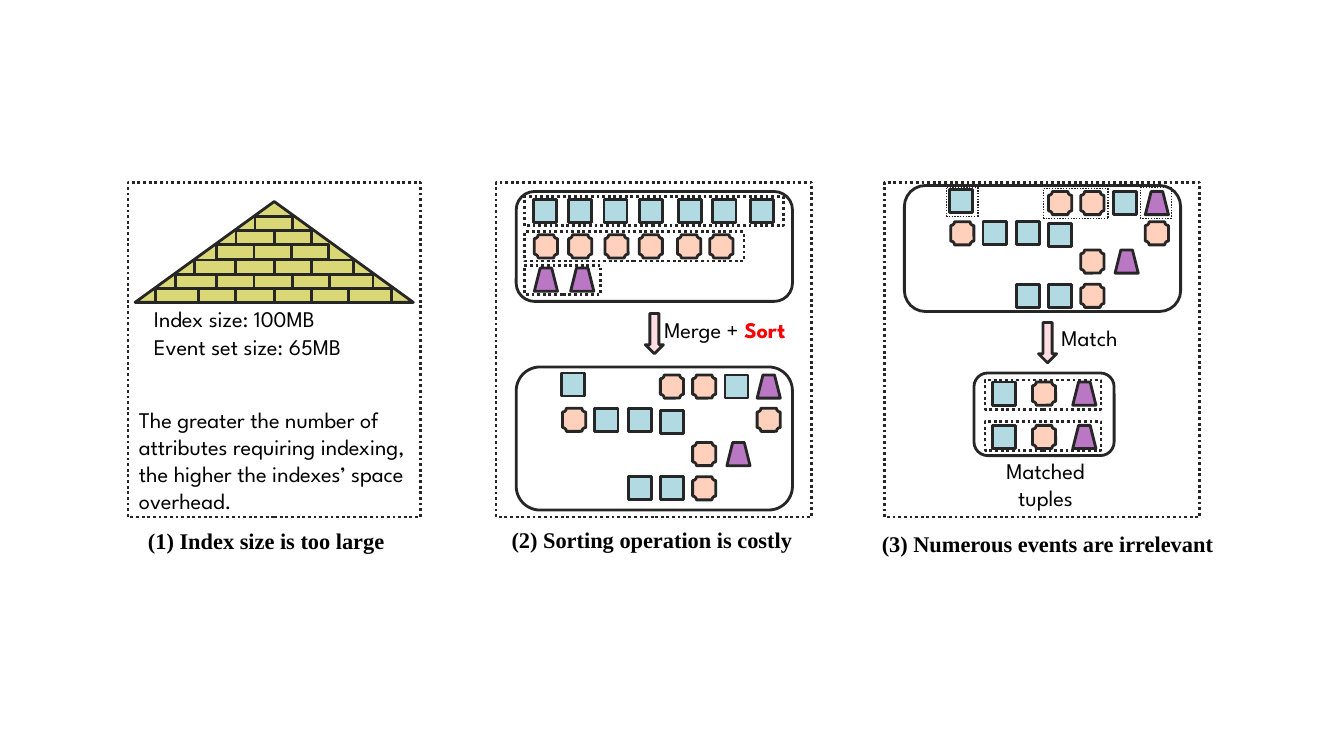
from lxml.etree import SubElement
from pptx import Presentation
from pptx.dml.color import RGBColor
from pptx.enum.dml import MSO_LINE
from pptx.enum.shapes import MSO_CONNECTOR, MSO_SHAPE
from pptx.enum.text import MSO_AUTO_SIZE, PP_ALIGN
from pptx.oxml.ns import qn
from pptx.util import Emu, Pt

WHITE = RGBColor(0xFF, 0xFF, 0xFF)
BLACK = RGBColor(0, 0, 0)
RED = RGBColor(0xFF, 0, 0)
INK = RGBColor(0x26, 0x26, 0x26)
BRICK = RGBColor(0xDA, 0xD8, 0x76)
BLUE = RGBColor(0xB1, 0xDA, 0xE2)
PEACH = RGBColor(0xFF, 0xD0, 0xBC)
PURPLE = RGBColor(0xBA, 0x77, 0xC4)
PINK = RGBColor(0xFF, 0xDD, 0xE2)

PX = 9144  # 100 px to the inch
EVENT = 23
EVENT_KINDS = {
    "A": (MSO_SHAPE.RECTANGLE, BLUE),
    "B": (MSO_SHAPE.PLAQUE, PEACH),
    "C": (MSO_SHAPE.TRAPEZOID, PURPLE),
}
# Sorted events: kind, left, row, nudge down
SORTED_EVENTS = [
    ("A", 557, 0, -2), ("B", 655, 0, 0), ("B", 687, 0, 0), ("A", 719, 0, 0), ("C", 751, 0, 0),
    ("B", 558, 1, 0), ("A", 590, 1, 0), ("A", 623, 1, 0), ("A", 655, 1, 2), ("B", 751, 1, 0),
    ("B", 687, 2, 0), ("C", 721, 2, 0),
    ("A", 623, 3, 0), ("A", 655, 3, 0), ("B", 687, 3, 0),
]


class Diagram:
    body = {"name": "League Spartan", "size": Pt(16)}
    caption = {"name": "Times New Roman", "size": Pt(16), "bold": True}

    def __init__(self, s):
        self.s = s

    def shape(self, kind, x, y, w, h, fill=WHITE, dotted=False):
        sp = self.s.shapes.add_shape(kind, *(Emu(v * PX) for v in (x, y, w, h)))
        sp.shadow.inherit = False
        sp.fill.solid()
        sp.fill.fore_color.rgb = fill
        sp.line.color.rgb = INK
        sp.line.width = Pt(2)
        if dotted:
            sp.line.dash_style = MSO_LINE.ROUND_DOT
        return sp

    def dotted_box(self, x, y, w, h):
        self.shape(MSO_SHAPE.RECTANGLE, x, y, w, h, dotted=True)

    def round_box(self, x, y, w, h):
        self.shape(MSO_SHAPE.ROUNDED_RECTANGLE, x, y, w, h)

    def event(self, kind, x, y):
        preset, fill = EVENT_KINDS[kind]
        self.shape(preset, x, y, EVENT, EVENT, fill)

    def sorted_events(self, dx, row_tops):
        for kind, x, row, nudge in SORTED_EVENTS:
            self.event(kind, x + dx, row_tops[row] + nudge)

    def down_arrow(self, x, y):
        self.shape(MSO_SHAPE.RIGHT_ARROW, x, y, 40, 18, PINK).rotation = 90

    def frame(self, x1, y1, x2, y2):
        corners = [(x1, y1), (x2, y1), (x2, y2), (x1, y2)]
        for start, end in zip(corners, corners[1:] + corners[:1]):
            c = self.s.shapes.add_connector(
                MSO_CONNECTOR.STRAIGHT, *(Emu(v * PX) for v in start + end))
            c.line.color.rgb = INK
            c.line.width = Pt(1)
            c.line.dash_style = MSO_LINE.ROUND_DOT
            SubElement(c.element.spPr, qn("a:effectLst"))

    def text(self, x, y, w, h, *runs, style=body, align=PP_ALIGN.LEFT, spacing=None):
        tf = self.s.shapes.add_textbox(*(Emu(v * PX) for v in (x, y, w, h))).text_frame
        tf.word_wrap = True
        tf.auto_size = MSO_AUTO_SIZE.SHAPE_TO_FIT_TEXT
        p = tf.paragraphs[0]
        p.alignment = align
        p.line_spacing = spacing
        for content, color, extra in runs:
            r = p.add_run()
            r.text = content
            r.font.color.rgb = color
            for name, value in {**style, **extra}.items():
                setattr(r.font, name, value)

    def label(self, x, y, w, h, content, **layout):
        self.text(x, y, w, h, (content, BLACK, {}), **layout)


def index_panel(d):
    d.dotted_box(127, 181, 290, 332)

    # Brick pyramid: joints of each course, from the top down
    d.shape(MSO_SHAPE.ISOSCELES_TRIANGLE, 134, 200, 276, 100, BRICK)
    courses = [
        [253, 290],
        [234, 272, 309],
        [215, 252, 289, 326],
        [193, 234, 272, 309, 351],
        [174, 215, 252, 290, 327, 370],
        [154, 197, 234, 272, 309, 346, 388],
    ]
    for i, joints in enumerate(courses):
        for left, right in zip(joints, joints[1:]):
            d.shape(MSO_SHAPE.RECTANGLE, left, round(215 + 14.2 * i), right - left, 14, BRICK)

    # Index notes
    d.label(109, 298, 247, 37, "Index size: 100MB", align=PP_ALIGN.CENTER)
    d.label(111, 326, 269, 37, "Event set size: 65MB", align=PP_ALIGN.CENTER)
    d.label(128, 398, 300, 118, "The greater the number of attributes requiring indexing, "
            "the higher the indexes’ space overhead.")
    d.label(118, 518, 292, 37, "(1) Index size is too large",
            style=d.caption, align=PP_ALIGN.CENTER)


def sorting_panel(d):
    d.dotted_box(492, 181, 313, 332)
    d.round_box(512, 190, 274, 109)
    d.round_box(512, 364, 274, 142)

    # Events grouped by kind
    groups = [
        ("A", 195, 257, [529, 564, 599, 634, 673, 707, 744]),
        ("B", 230, 218, [530, 564, 600, 634, 672, 704]),
        ("C", 263, 76, [530, 566]),
    ]
    for kind, y, width, lefts in groups:
        d.dotted_box(520, y, width, 29)
        for x in lefts:
            d.event(kind, x, y + 3)

    # Merge and sort
    d.down_arrow(629, 322)
    d.text(649, 309, 166, 37, ("Merge + ", BLACK, {}), ("Sort", RED, {"bold": True}))
    d.sorted_events(0, [372, 405, 439, 473])
    d.label(477, 517, 339, 37, "(2) Sorting operation is costly",
            style=d.caption, align=PP_ALIGN.CENTER)


def matching_panel(d):
    d.dotted_box(877, 181, 313, 332)
    d.round_box(897, 184, 274, 125)

    # Sorted events with the matching ones framed
    d.sorted_events(385, [190, 220, 248, 282])
    for edges in [(939, 186, 970, 215), (1035, 187, 1099, 217), (1131, 186, 1162, 217)]:
        d.frame(*edges)

    # Matched tuples
    d.down_arrow(1019, 331)
    d.label(1043, 317, 96, 37, "Match")
    d.round_box(966, 370, 139, 82)
    for box_top, event_top in [(377, 379), (418, 422)]:
        d.dotted_box(977, box_top, 115, 29)
        for i, kind in enumerate("ABC"):
            d.event(kind, 984 + 40 * i, event_top)
    d.label(972, 449, 130, 64, "Matched tuples", align=PP_ALIGN.CENTER)
    d.label(836, 512, 406, 42, "(3) Numerous events are irrelevant",
            style=d.caption, align=PP_ALIGN.CENTER, spacing=Pt(26))


def main():
    prs = Presentation()
    prs.slide_width, prs.slide_height = Emu(1333 * PX), Emu(750 * PX)
    d = Diagram(prs.slides.add_slide(prs.slide_layouts[6]))
    index_panel(d)
    sorting_panel(d)
    matching_panel(d)
    prs.save("out.pptx")


if __name__ == "__main__":
    main()
